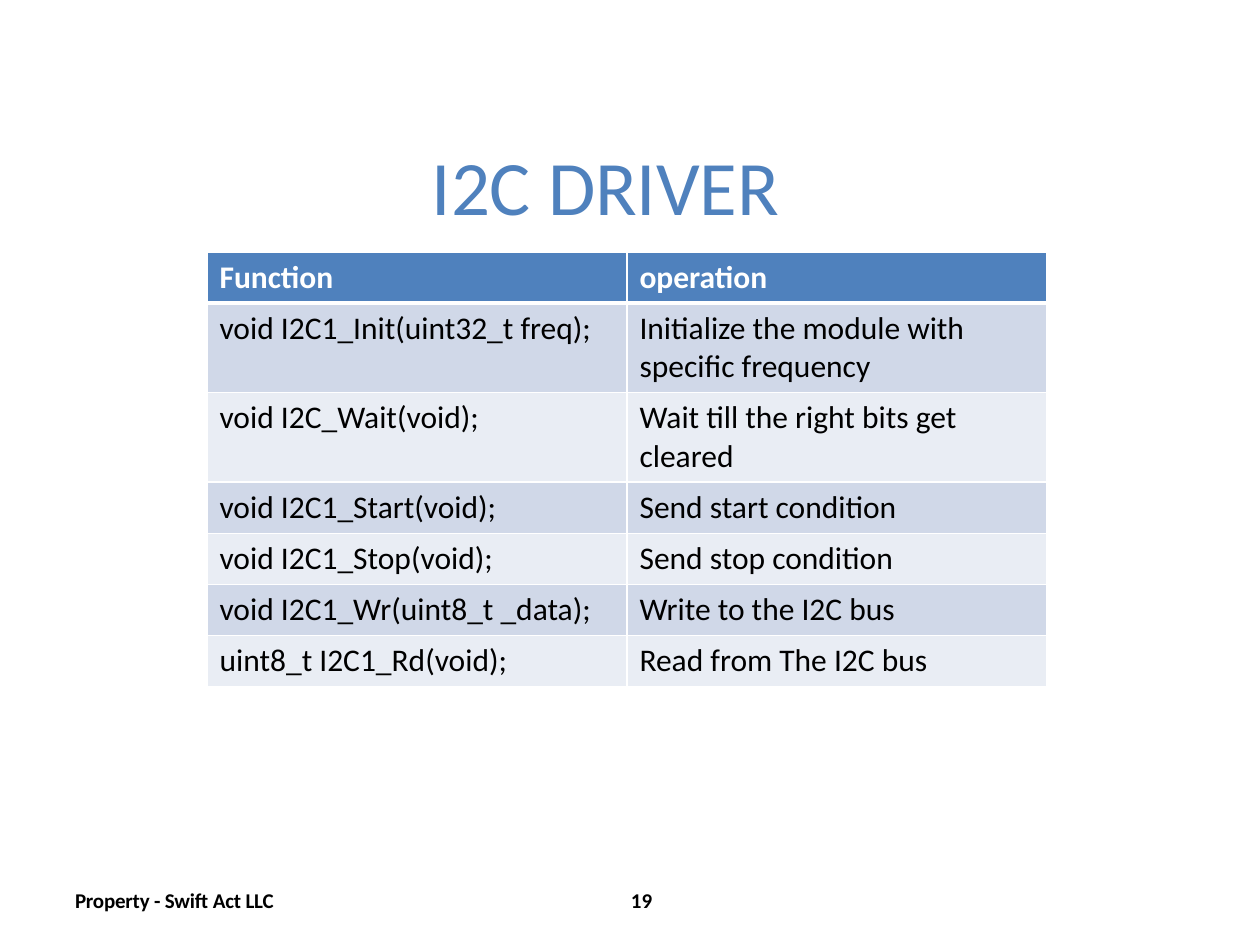
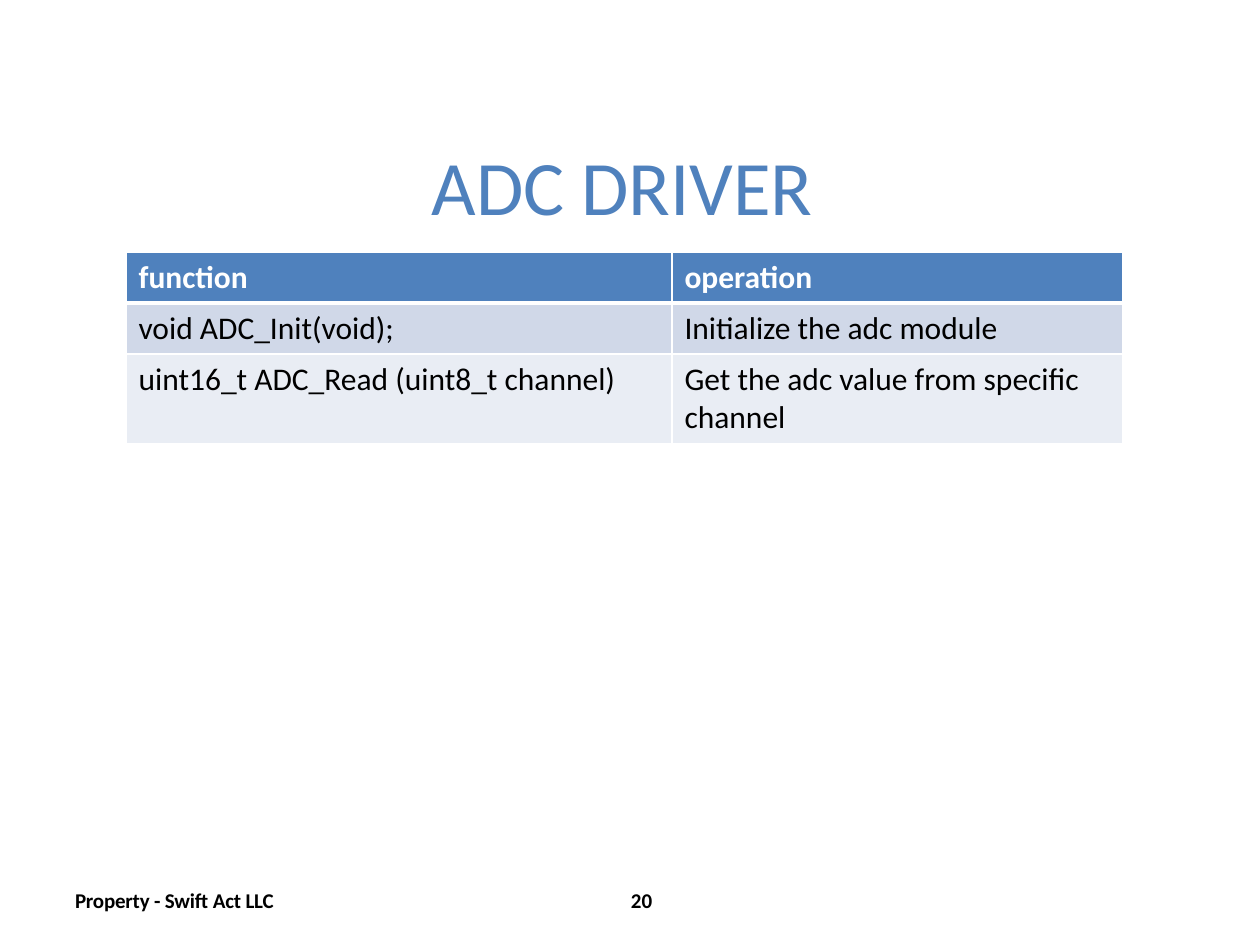
from dataclasses import dataclass

from lxml import etree
from pptx import Presentation
from pptx import util as u
from pptx.dml.color import RGBColor
from pptx.enum import text
from pptx.oxml.ns import qn

PX_PER_INCH = 126


@dataclass(frozen=True)
class Theme:
    """Colours, font and type sizes shared by the slides."""
    accent: str = "4F81BD"
    ink: str = "000000"
    paper: str = "FFFFFF"
    bands: tuple = ("D0D8E8", "E9EDF4")
    font: str = "Calibri"
    title_size: int = 44
    table_size: int = 18
    footer_size: int = 12


THEME = Theme()
TABLE_TOP, ROW_HEIGHT = 252, 51
FOOTER_TOP, FOOTER_HEIGHT = 891, 24

I2C_FUNCTIONS = [
    ("Function", "operation"),
    ("void I2C1_Init(uint32_t freq);", "Initialize the module with specific frequency"),
    ("void I2C_Wait(void);", "Wait till the right bits get cleared"),
    ("void I2C1_Start(void);", "Send start condition"),
    ("void I2C1_Stop(void);", "Send stop condition"),
    ("void I2C1_Wr(uint8_t _data);", "Write to the I2C bus"),
    ("uint8_t I2C1_Rd(void);", "Read from The I2C bus"),
]
ADC_FUNCTIONS = [
    ("function", "operation"),
    ("void ADC_Init(void);", "Initialize the adc module"),
    ("uint16_t ADC_Read (uint8_t channel)", "Get the adc value from specific channel"),
]


def px(length):
    """Turn whole pixels into EMU."""
    return u.Emu(round(length * 914400 / PX_PER_INCH))


def write(frame, words, *, size, color=THEME.ink, bold=False, tracking=0, line=None):
    """Put one formatted, left-aligned paragraph into a text frame."""
    frame.word_wrap = True
    paragraph = frame.paragraphs[0]
    paragraph.alignment = text.PP_ALIGN.LEFT
    if line:
        paragraph.line_spacing = u.Pt(line)
    run = paragraph.add_run()
    run.text = words
    run.font.name = THEME.font
    run.font.size = u.Pt(size)
    run.font.bold = bold
    run.font.color.rgb = RGBColor.from_string(color)
    if tracking:
        run._r.get_or_add_rPr().set("spc", str(tracking))


def set_insets(frame, left, top):
    """Anchor a text frame at the top with only left and top insets."""
    frame.auto_size = text.MSO_AUTO_SIZE.NONE
    frame.vertical_anchor = text.MSO_ANCHOR.TOP
    frame.margin_left, frame.margin_top = px(left), px(top)
    frame.margin_right = frame.margin_bottom = 0


def add_title(slide, words):
    """Place and format the slide's title placeholder."""
    title = slide.shapes.title
    title.left, title.top, title.width, title.height = map(px, (431, 136, 746, 96))
    set_insets(title.text_frame, 1, 3)
    write(title.text_frame, words, size=THEME.title_size, color=THEME.accent, tracking=-10)


def add_footer_text(slide, words, left, width, inset, tracking=0):
    """Add one bold text on the footer line."""
    box = slide.shapes.add_textbox(*map(px, (left, FOOTER_TOP, width, FOOTER_HEIGHT)))
    set_insets(box.text_frame, inset, 0)
    write(box.text_frame, words, size=THEME.footer_size, bold=True, tracking=tracking, line=12.4)


def add_footer(slide, number):
    """Add the ownership line and the page number."""
    add_footer_text(slide, "Property - Swift Act LLC", 74, 207, 1, tracking=-10)
    add_footer_text(slide, str(number), 626, 32, 5)


def add_borders(cell, **widths):
    """Draw white cell borders, given in points by side."""
    properties = cell._tc.get_or_add_tcPr()
    for side, width in widths.items():
        border = etree.SubElement(properties, qn(f"a:ln{side}"), w=str(u.Pt(width)))
        fill = etree.SubElement(border, qn("a:solidFill"))
        etree.SubElement(fill, qn("a:srgbClr"), val=THEME.paper)


def add_function_table(slide, functions, left, column_widths):
    """Add a table of driver functions with a header and banded rows."""
    table = slide.shapes.add_table(
        len(functions), len(column_widths), px(left), px(TABLE_TOP),
        px(sum(column_widths)), px(ROW_HEIGHT * len(functions))).table
    for column, width in zip(table.columns, column_widths):
        column.width = px(width)
    for row, entries in enumerate(functions):
        header = row == 0
        band = THEME.accent if header else THEME.bands[(row - 1) % 2]
        for column, words in enumerate(entries):
            cell = table.cell(row, column)
            add_borders(cell, L=1, R=1, T=3 if row == 1 else 1, B=3 if header else 1)
            cell.fill.solid()
            cell.fill.fore_color.rgb = RGBColor.from_string(band)
            write(cell.text_frame, words, size=THEME.table_size, bold=header,
                  color=THEME.paper if header else THEME.ink)


def add_driver_slide(deck, number, title, functions, left, column_widths):
    """Add one driver slide with its title, function table and footer."""
    slide = deck.slides.add_slide(deck.slide_layouts.get_by_name("Title Only"))
    add_footer(slide, number)
    add_title(slide, title)
    add_function_table(slide, functions, left, column_widths)


def main():
    """Build the two driver slides."""
    deck = Presentation()
    deck.slide_width, deck.slide_height = px(1260), px(945)
    add_driver_slide(deck, 19, "I2C DRIVER", I2C_FUNCTIONS, 207, (420, 420))
    add_driver_slide(deck, 20, "ADC DRIVER", ADC_FUNCTIONS, 126, (546, 451))
    deck.save("out.pptx")


if __name__ == "__main__":
    main()
